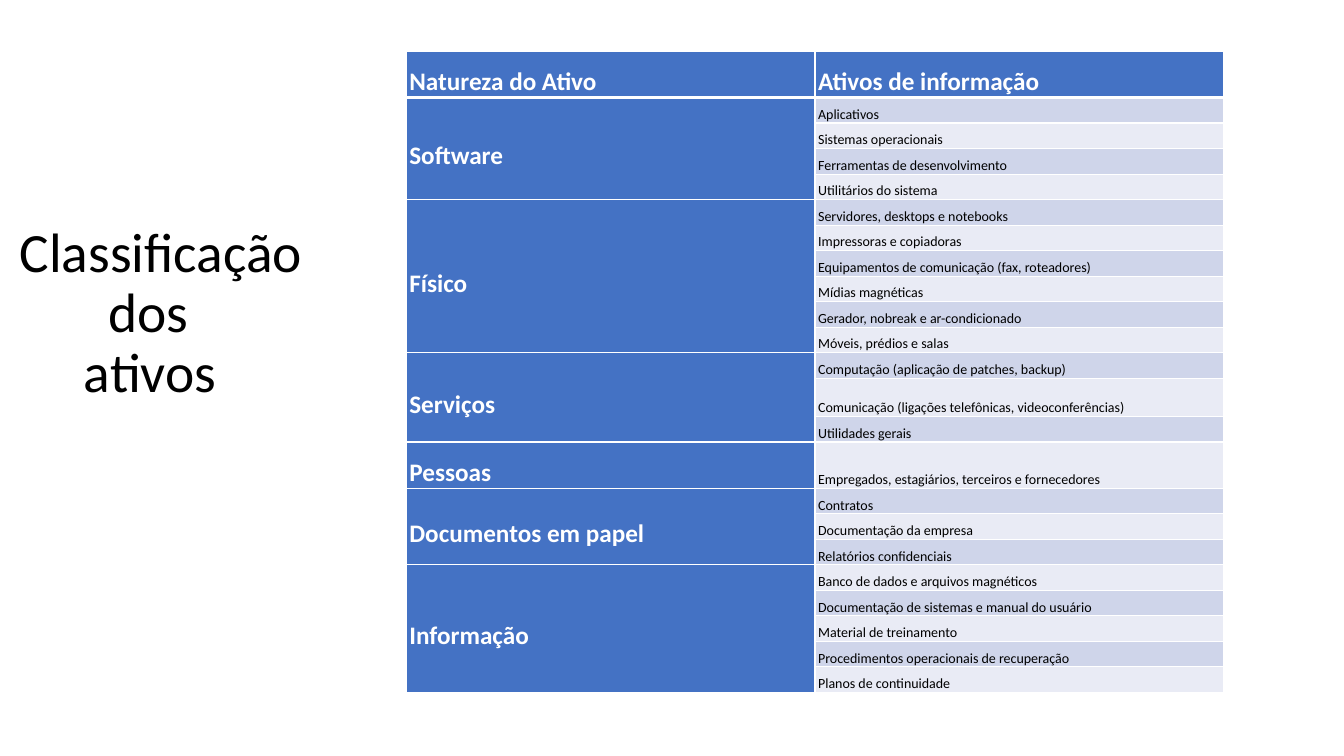
from dataclasses import dataclass

from lxml.etree import SubElement
from pptx import Presentation
from pptx.dml.color import RGBColor
from pptx.enum.text import MSO_ANCHOR, PP_ALIGN
from pptx.oxml.ns import qn
from pptx.util import Pt


@dataclass(frozen=True)
class Theme:
    font: str = "Calibri"
    title_size: float = 39.6
    head_size: float = 18
    item_size: float = 10
    text: str = "000000"
    white: str = "FFFFFF"
    blue: str = "4472C4"
    bands: tuple = ("E9EBF5", "CFD5EA")


THEME = Theme()

# Title lines with their indents
TITLE = [("Classificação", 14), ("dos", 77.5), ("ativos", 60)]

# Table content
HEADERS = ["Natureza do Ativo", "Ativos de informação"]
ASSETS = {
    "Software": ["Aplicativos", "Sistemas operacionais",
                 "Ferramentas de desenvolvimento", "Utilitários do sistema"],
    "Físico": ["Servidores, desktops e notebooks", "Impressoras e copiadoras",
               "Equipamentos de comunicação (fax, roteadores)", "Mídias magnéticas",
               "Gerador, nobreak e ar-condicionado", "Móveis, prédios e salas"],
    "Serviços": ["Computação (aplicação de patches, backup)",
                 "Comunicação (ligações telefônicas, videoconferências)",
                 "Utilidades gerais"],
    "Pessoas": ["Empregados, estagiários, terceiros e fornecedores"],
    "Documentos em papel": ["Contratos", "Documentação da empresa",
                            "Relatórios confidenciais"],
    "Informação": ["Banco de dados e arquivos magnéticos",
                   "Documentação de sistemas e manual do usuário",
                   "Material de treinamento",
                   "Procedimentos operacionais de recuperação",
                   "Planos de continuidade"],
}

# Row heights: the usual one, and the taller rows by index
ROW_HEIGHT = 17.6
TALL_ROWS = {0: 31.7, 12: 27.4, 14: 31.7}
COLUMN_WIDTH = 292


def set_font(p, size, color, bold=False):
    p.font.name = THEME.font
    p.font.size = Pt(size)
    p.font.bold = bold
    p.font.color.rgb = RGBColor.from_string(color)


def add_title(s, lines, left, top, width, height):
    tf = s.shapes.add_textbox(Pt(left), Pt(top), Pt(width), Pt(height)).text_frame
    tf.word_wrap = True
    tf.margin_left = tf.margin_right = tf.margin_top = tf.margin_bottom = 0
    for i, (line, indent) in enumerate(lines):
        p = tf.paragraphs[0] if i == 0 else tf.add_paragraph()
        p.text = line
        p.line_spacing = 0.9
        p._p.get_or_add_pPr().set("marL", str(Pt(indent)))
        set_font(p, THEME.title_size, THEME.text)


def set_borders(cell, bottom=1, top=1):
    tcPr = cell._tc.get_or_add_tcPr()
    for side, width in (("L", 1), ("R", 1), ("T", top), ("B", bottom)):
        ln = SubElement(tcPr, qn(f"a:ln{side}"), w=str(Pt(width)))
        fill = SubElement(ln, qn("a:solidFill"))
        SubElement(fill, qn("a:srgbClr"), val=THEME.white)


def style_cell(cell, fill):
    cell.margin_left = cell.margin_right = Pt(2.2)
    cell.margin_top = cell.margin_bottom = 0
    cell.fill.solid()
    cell.fill.fore_color.rgb = RGBColor.from_string(fill)


def write_cell(cell, text, heading):
    cell.vertical_anchor = MSO_ANCHOR.MIDDLE if heading else MSO_ANCHOR.BOTTOM
    p = cell.text_frame.paragraphs[0]
    p.text = text
    p.alignment = PP_ALIGN.JUSTIFY
    p.line_spacing = 1.5
    if heading:
        set_font(p, THEME.head_size, THEME.white, bold=True)
    else:
        set_font(p, THEME.item_size, THEME.text)


def add_asset_table(s, left, top):
    heights = [TALL_ROWS.get(i, ROW_HEIGHT)
               for i in range(1 + sum(map(len, ASSETS.values())))]
    table = s.shapes.add_table(len(heights), 2, Pt(left), Pt(top),
                               Pt(2 * COLUMN_WIDTH), Pt(sum(heights))).table
    for column in table.columns:
        column.width = Pt(COLUMN_WIDTH)

    # Borders and fills
    for i, height in enumerate(heights):
        table.rows[i].height = Pt(height)
        for j in range(2):
            cell = table.cell(i, j)
            set_borders(cell, bottom=3 if i == 0 else 1, top=3 if i == 1 else 1)
            style_cell(cell, THEME.blue if i == 0 or j == 0 else THEME.bands[i % 2])

    # Header row, then one merged heading per group
    for j, header in enumerate(HEADERS):
        write_cell(table.cell(0, j), header, heading=True)
    row = 1
    for group, items in ASSETS.items():
        if len(items) > 1:
            table.cell(row, 0).merge(table.cell(row + len(items) - 1, 0))
        write_cell(table.cell(row, 0), group, heading=True)
        for item in items:
            write_cell(table.cell(row, 1), item, heading=False)
            row += 1


def main():
    prs = Presentation()
    prs.slide_width, prs.slide_height = Pt(960), Pt(540)
    s = prs.slides.add_slide(prs.slide_layouts[6])
    add_asset_table(s, 290.2, 36.7)
    add_title(s, TITLE, 0, 160.7, 280, 130.5)
    prs.save("out.pptx")


main()
